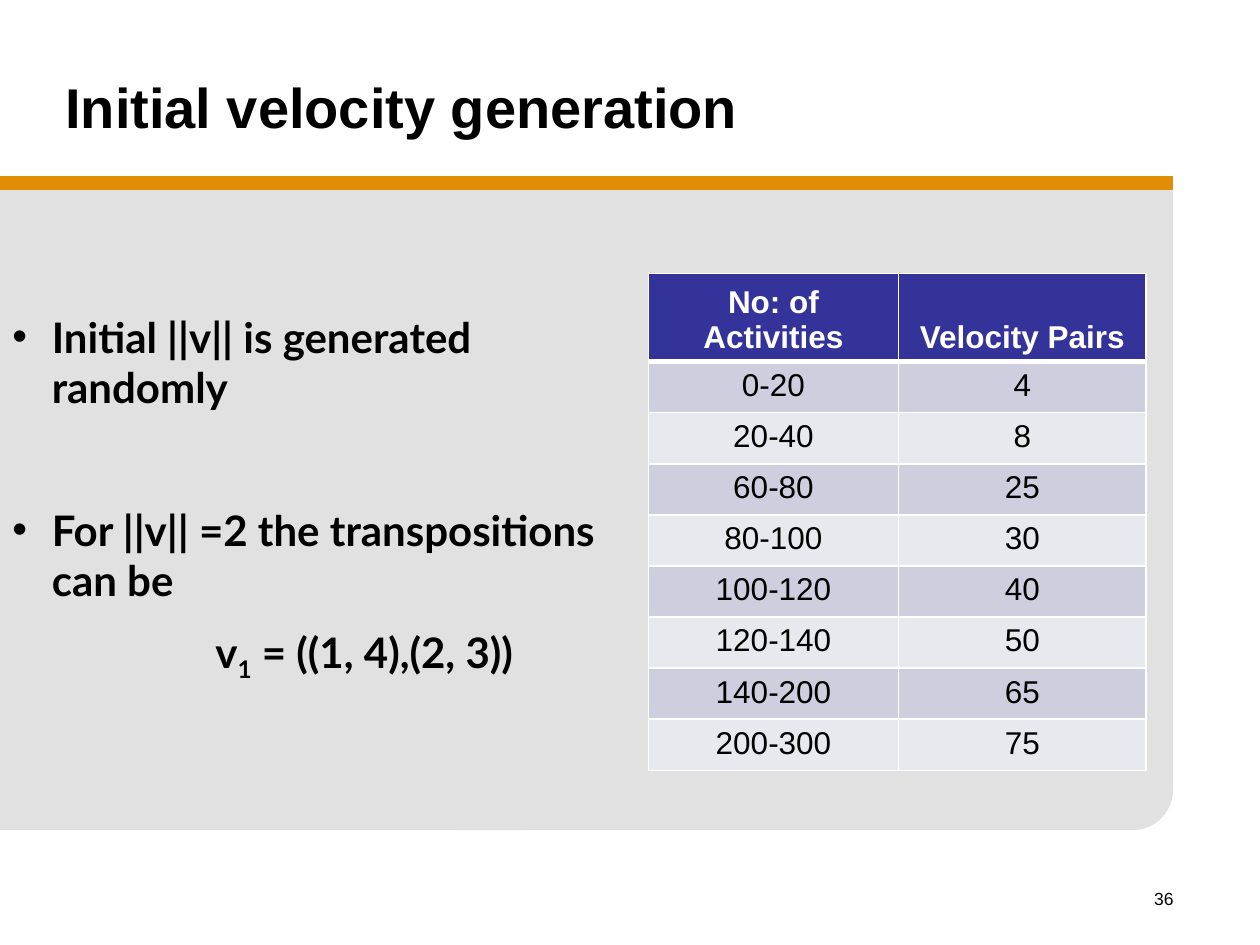
from lxml.etree import SubElement
from pptx import Presentation
from pptx.dml.color import RGBColor
from pptx.enum.shapes import MSO_CONNECTOR, MSO_SHAPE as SHAPE
from pptx.enum.text import MSO_ANCHOR as ANCHOR, PP_ALIGN as ALIGN
from pptx.oxml.ns import qn
from pptx.util import Pt

COLORS = {
    "panel": "E1E1E1", "rule": "DF8E05", "text": "000000", "white": "FFFFFF",
    "header": "333399", "odd": "CECEDE", "even": "E8E8EF",
}


def style(paragraph, size, color="text", bold=False, face="Arial", align=ALIGN.LEFT):
    paragraph.alignment = align
    font = paragraph.font
    font.name, font.size, font.bold = face, Pt(size), bold
    font.color.rgb = RGBColor.from_string(COLORS[color])


def border(cell, side, width):
    line = SubElement(cell._tc.get_or_add_tcPr(), qn(f"a:{side}"), w=str(Pt(width)))
    fill = SubElement(line, qn("a:solidFill"))
    SubElement(fill, qn("a:srgbClr"), val=COLORS["white"])


deck = Presentation()
deck.slide_width, deck.slide_height = Pt(720), Pt(540)
slide = deck.slides.add_slide(deck.slide_layouts[5])
shapes = slide.shapes
title = shapes.title

for kind, *box in [
    (SHAPE.RECTANGLE, 0, 107.3, 670.3, 313.9),
    (SHAPE.ROUNDED_RECTANGLE, 239.8, 336.2, 430.5, 138.2),
    (SHAPE.RECTANGLE, 0, 197.3, 298, 277.1),
]:
    panel = shapes.add_shape(kind, *map(Pt, box))
    panel.shadow.inherit = False
    panel.fill.solid()
    panel.fill.fore_color.rgb = RGBColor.from_string(COLORS["panel"])
    panel.line.fill.background()

rule = shapes.add_connector(MSO_CONNECTOR.STRAIGHT, 0, Pt(104.4), Pt(670.3), Pt(104.4))
rule.line.width = Pt(8)
rule.line.color.rgb = RGBColor.from_string(COLORS["rule"])
SubElement(rule._element.spPr, qn("a:effectLst"))

title.left, title.top, title.width, title.height = Pt(30.2), Pt(12.2), Pt(648), Pt(97.2)
title.text_frame.text = "Initial velocity generation"
title.text_frame.vertical_anchor = ANCHOR.MIDDLE
style(title.text_frame.paragraphs[0], 32, bold=True)

page_number = shapes.add_textbox(Pt(527.8), Pt(504), Pt(149.8), Pt(36)).text_frame
page_number.word_wrap = True
page_number.text = "36"
style(page_number.paragraphs[0], 10, align=ALIGN.RIGHT)

velocity_rows = [
    ("No: of Activities", "Velocity Pairs"),
    ("0-20", "4"), ("20-40", "8"), ("60-80", "25"), ("80-100", "30"),
    ("100-120", "40"), ("120-140", "50"), ("140-200", "65"), ("200-300", "75"),
]
velocities = shapes.add_table(
    len(velocity_rows), 2, Pt(370.6), Pt(156.2), Pt(284.4), Pt(282)).table
velocities.columns[0].width, velocities.columns[1].width = Pt(142.8), Pt(141.6)
for r, values in enumerate(velocity_rows):
    is_header = r == 0
    velocities.rows[r].height = Pt(48.4 if is_header else 29.2)
    background = "header" if is_header else "odd" if r % 2 else "even"
    for c, value in enumerate(values):
        cell = velocities.cell(r, c)
        cell.text = value
        cell.vertical_anchor = ANCHOR.BOTTOM if is_header else ANCHOR.TOP
        style(cell.text_frame.paragraphs[0], 18, "white" if is_header else "text",
              bold=is_header, align=ALIGN.CENTER)
        for side in ("lnL", "lnR", "lnT", "lnB"):
            thick = (is_header and side == "lnB") or (r == 1 and side == "lnT")
            border(cell, side, 3 if thick else 1)
        cell.fill.solid()
        cell.fill.fore_color.rgb = RGBColor.from_string(COLORS[background])

points = shapes.add_textbox(0, Pt(174.2), Pt(356.4), Pt(167)).text_frame
points.word_wrap = True
points.text = "Initial ||v|| is generated randomly\nFor ||v|| =2 the transpositions can be"
for point, gap in zip(points.paragraphs, (0, 52.8)):
    style(point, 24, bold=True, face="Lato")
    point.space_before = Pt(gap)
    layout = point._p.get_or_add_pPr()
    layout.set("marL", str(Pt(22.5)))
    layout.set("indent", str(Pt(-22.5)))
    bullet_font = layout.makeelement(qn("a:buFont"), {"typeface": "Arial"})
    bullet = layout.makeelement(qn("a:buChar"), {"char": "•"})
    layout.find(qn("a:defRPr")).addprevious(bullet_font)
    bullet_font.addnext(bullet)

formula = points.add_paragraph()
style(formula, 24, bold=True, face="Lato")
formula.space_before = Pt(12)
formula._p.get_or_add_pPr().set("marL", str(Pt(116)))
for part in ("v", "1", " = ((1, 4),(2, 3))"):
    run = formula.add_run()
    run.text = part
    if part == "1":
        run.font._element.set("baseline", "-25000")

deck.save("out.pptx")
